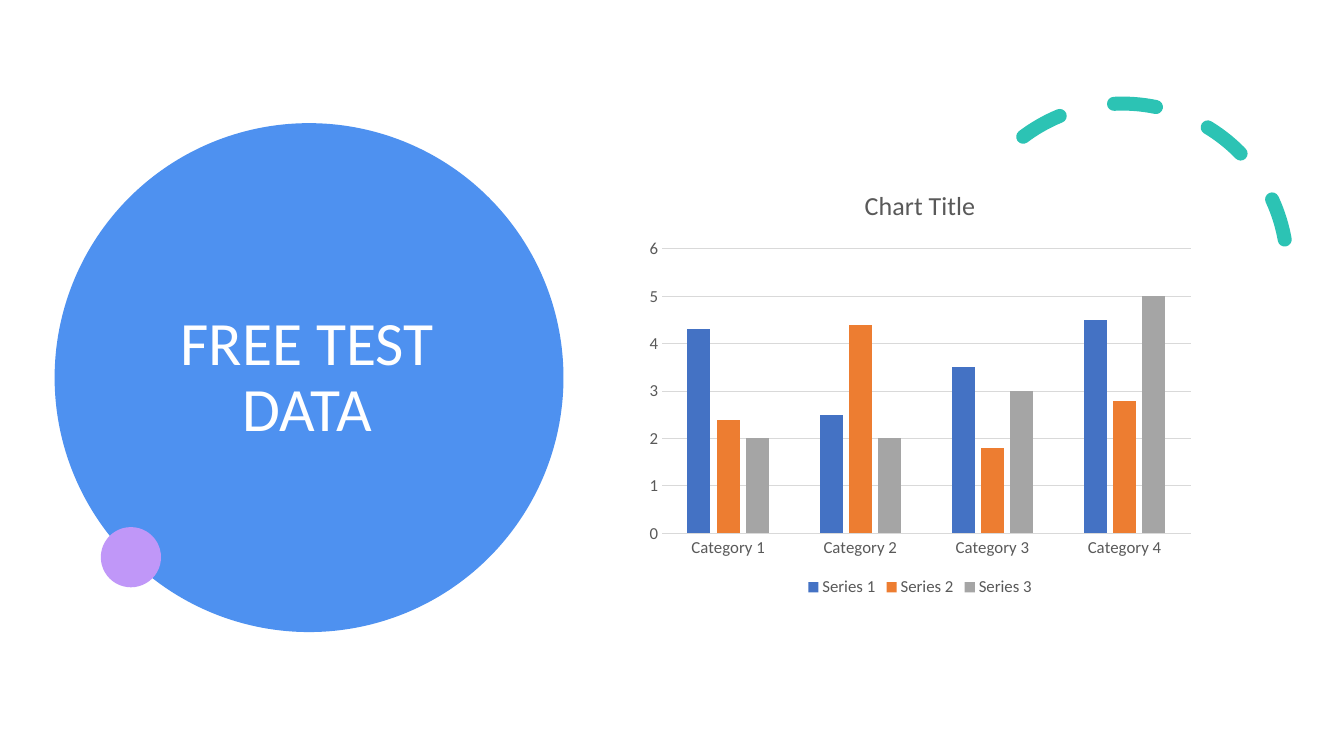
from lxml import etree
from pptx import Presentation
from pptx.chart.data import CategoryChartData
from pptx.dml.color import RGBColor
from pptx.enum import chart as charts, dml, shapes, text
from pptx.util import Pt

BLUE = RGBColor(0x4E, 0x91, 0xF0)
TEAL = RGBColor(0x2C, 0xC3, 0xB4)
PURPLE = RGBColor(0xC0, 0x97, 0xF8)
WHITE = RGBColor(0xFF, 0xFF, 0xFF)
CHART_TEXT = RGBColor(0x59, 0x59, 0x59)
GRID = RGBColor(0xD9, 0xD9, 0xD9)

FONT = "Calibri"
CATEGORIES = ["Category 1", "Category 2", "Category 3", "Category 4"]
SERIES = [
    ("Series 1", (4.3, 2.5, 3.5, 4.5), RGBColor(0x44, 0x72, 0xC4)),
    ("Series 2", (2.4, 4.4, 1.8, 2.8), RGBColor(0xED, 0x7D, 0x31)),
    ("Series 3", (2, 2, 3, 5), RGBColor(0xA5, 0xA5, 0xA5)),
]


def format_font(font, size, color):
    font.name = FONT
    font.size = Pt(size)
    font.bold = False
    font.color.rgb = color


def add_circle(slide, left, top, diameter, color):
    circle = slide.shapes.add_shape(
        shapes.MSO_SHAPE.OVAL, Pt(left), Pt(top), Pt(diameter), Pt(diameter))
    circle.shadow.inherit = False
    circle.fill.solid()
    circle.fill.fore_color.rgb = color
    circle.line.fill.background()


def add_dashed_arc(slide, left, top, diameter, start, end):
    """Draw an arc clockwise between two angles in degrees, 0 pointing right."""
    arc = slide.shapes.add_shape(
        shapes.MSO_SHAPE.ARC, Pt(left), Pt(top), Pt(diameter), Pt(diameter))
    arc.shadow.inherit = False
    # Angles are stored in 1/60000 degree; adjustments count in 100000ths.
    arc.adjustments[0] = start * 0.6
    arc.adjustments[1] = end * 0.6
    arc.fill.background()
    arc.line.color.rgb = TEAL
    arc.line.width = Pt(10)
    arc.line.dash_style = dml.MSO_LINE.DASH
    arc.line._get_or_add_ln().set("cap", "rnd")


def place_title(slide, wording):
    title = slide.shapes.title
    title.left, title.top = Pt(92), Pt(110)
    title.width, title.height = Pt(255), Pt(320.5)
    title.element.getparent().append(title.element)  # bring in front of the circle
    frame = title.text_frame
    frame.text = wording
    frame.word_wrap = True
    frame.auto_size = text.MSO_AUTO_SIZE.NONE
    frame.vertical_anchor = text.MSO_ANCHOR.MIDDLE
    paragraph = frame.paragraphs[0]
    paragraph.alignment = text.PP_ALIGN.CENTER
    paragraph.line_spacing = 0.9
    format_font(paragraph.font, 44, WHITE)


def format_axis(axis):
    axis.major_tick_mark = charts.XL_TICK_MARK.NONE
    axis.minor_tick_mark = charts.XL_TICK_MARK.NONE
    format_font(axis.tick_labels.font, 12, CHART_TEXT)


def format_rule(line):
    line.color.rgb = GRID
    line.width = Pt(0.75)


def add_column_chart(slide):
    data = CategoryChartData()
    data.categories = CATEGORIES
    for name, values, _ in SERIES:
        data.add_series(name, values)
    chart = slide.shapes.add_chart(
        charts.XL_CHART_TYPE.COLUMN_CLUSTERED,
        Pt(456), Pt(120), Pt(402.5), Pt(309.5), data).chart
    format_font(chart.font, 12, CHART_TEXT)

    chart.has_title = True
    chart.chart_title.include_in_layout = False
    chart.chart_title.text_frame.text = "Chart Title"
    format_font(chart.chart_title.text_frame.paragraphs[0].font, 18.6, CHART_TEXT)

    chart.has_legend = True
    chart.legend.position = charts.XL_LEGEND_POSITION.BOTTOM
    chart.legend.include_in_layout = False
    format_font(chart.legend.font, 12, CHART_TEXT)

    format_axis(chart.category_axis)
    format_rule(chart.category_axis.format.line)
    value_axis = chart.value_axis
    format_axis(value_axis)
    value_axis.minimum_scale, value_axis.maximum_scale = 0, 6
    value_axis.major_unit = 1
    value_axis.format.line.fill.background()
    value_axis.has_major_gridlines = True
    format_rule(value_axis.major_gridlines.format.line)

    plot = chart.plots[0]
    plot.vary_by_categories = False
    plot.gap_width = 219
    plot.overlap = -27
    for series, (_, _, color) in zip(plot.series, SERIES):
        series.invert_if_negative = False
        series.format.fill.solid()
        series.format.fill.fore_color.rgb = color


def main():
    presentation = Presentation()
    presentation.slide_width, presentation.slide_height = Pt(960), Pt(540)
    slide = presentation.slides.add_slide(presentation.slide_layouts[5])
    add_circle(slide, 39, 88, 363.5, BLUE)
    add_dashed_arc(slide, 684, 74, 235.5, start=233, end=359.5)
    add_circle(slide, 72, 376.5, 43, PURPLE)
    place_title(slide, "FREE TEST DATA")
    add_column_chart(slide)
    presentation.save("out.pptx")


if __name__ == "__main__":
    main()
